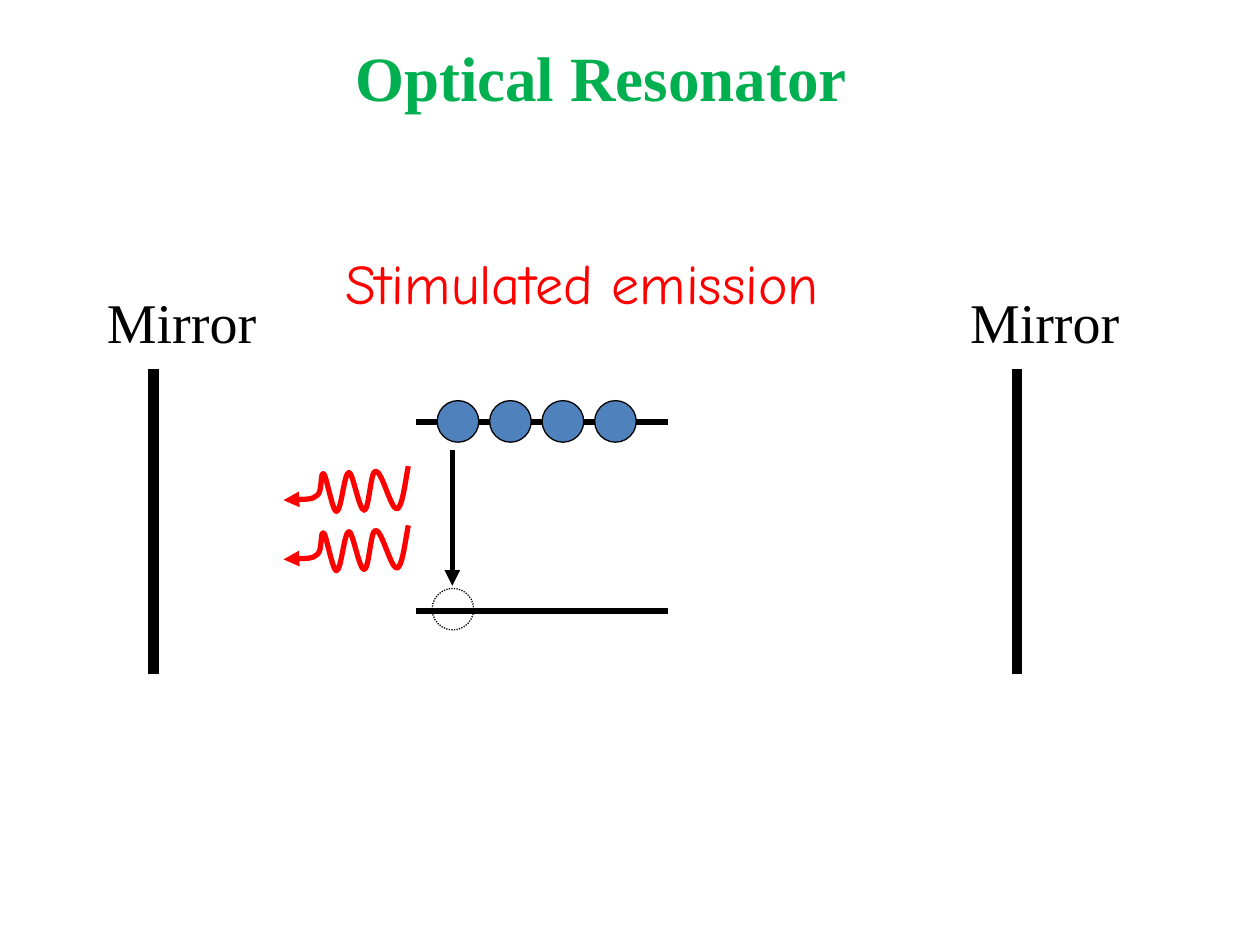
from lxml.etree import SubElement
from pptx import Presentation
from pptx.dml.color import RGBColor
from pptx.enum.dml import MSO_LINE as Dash
from pptx.enum.shapes import MSO_CONNECTOR as Conn, MSO_SHAPE as Shape
from pptx.oxml.ns import qn
from pptx.util import Inches, Pt

BLACK = RGBColor(0x00, 0x00, 0x00)
RED = RGBColor(0xFF, 0x00, 0x00)
GREEN = RGBColor(0x00, 0xB0, 0x50)
BLUE = RGBColor(0x4F, 0x81, 0xBD)
SERIF, COMIC = "Times New Roman", "Comic Neue"

# Photon wave: start point, then three Bezier points per curve
WAVE = [
    (0.99, 0),
    (0.96, 0.17), (0.94, 0.33), (0.90, 0.34),
    (0.85, 0.34), (0.78, 0.03), (0.73, 0.04),
    (0.69, 0.04), (0.68, 0.35), (0.64, 0.35),
    (0.60, 0.35), (0.55, 0.05), (0.52, 0.05),
    (0.48, 0.05), (0.46, 0.36), (0.42, 0.36),
    (0.39, 0.36), (0.34, 0.08), (0.32, 0.06),
    (0.29, 0.04), (0.31, 0.20), (0.27, 0.23),
    (0.23, 0.27), (0.10, 0.26), (0.05, 0.27),
    (0.01, 0.27), (0, 0.27), (0, 0.27),
]


def add_tip(shape):
    line = shape._element.spPr.find(qn("a:ln"))
    SubElement(line, qn("a:tailEnd"), type="triangle")


def add_line(slide, x1, y1, x2, y2, width):
    line = slide.shapes.add_connector(
        Conn.STRAIGHT, Inches(x1), Inches(y1), Inches(x2), Inches(y2))
    line.line.color.rgb = BLACK
    line.line.width = Pt(width)
    SubElement(line._element.spPr, qn("a:effectLst"))
    return line


def add_text(slide, box, text, size, font, color, bold=False, wrap=False):
    frame = slide.shapes.add_textbox(*map(Inches, box)).text_frame
    frame.word_wrap = wrap
    para = frame.paragraphs[0]
    para.text = text
    para.font.size = Pt(size)
    para.font.name = font
    para.font.bold = bold
    para.font.color.rgb = color


def add_ball(slide, x, y, full=True):
    size = Inches(0.33)
    ball = slide.shapes.add_shape(Shape.OVAL, Inches(x), Inches(y), size, size)
    ball.shadow.inherit = False
    ball.line.color.rgb = BLACK
    ball.line.width = Pt(0.75)
    if full:
        ball.fill.solid()
        ball.fill.fore_color.rgb = BLUE
    else:
        ball.fill.background()
        ball.line.dash_style = Dash.ROUND_DOT


def add_mirror(slide, x, y):
    """Label at x, y with the mirror below it."""
    add_text(slide, (x, y, 1.39, 0.63), "Mirror", 32, SERIF, BLACK)
    add_line(slide, x + 0.47, y + 0.7, x + 0.47, y + 3.12, 6)


def add_levels(slide, x, y, width, gap):
    """Two energy levels, the electrons and the drop between them."""
    for level in (y, y + gap):
        add_line(slide, x, level, x + width, level, 3)
    for i in range(4):
        add_ball(slide, x + 0.17 + i * 1.25 / 3, y - 0.17)
    add_ball(slide, x + 0.13, y + gap - 0.18, full=False)
    add_tip(add_line(slide, x + 0.29, y + 0.22, x + 0.29, y + gap - 0.2, 3))


def add_photon(slide, x, y):
    points = [(Inches(x + dx), Inches(y + dy)) for dx, dy in WAVE]
    path = slide.shapes.build_freeform(*points[0])
    path.add_line_segments(points[1:], close=False)
    wave = path.convert_to_shape()
    # Turn each three line segments into one curve
    steps = list(wave._element.iter(qn("a:lnTo")))
    for i in range(0, len(steps), 3):
        curve = SubElement(steps[i].getparent(), qn("a:cubicBezTo"))
        for step in steps[i:i + 3]:
            curve.append(step[0])
            step.getparent().remove(step)
    wave.shadow.inherit = False
    wave.fill.background()
    wave.line.color.rgb = RED
    wave.line.width = Pt(3)
    add_tip(wave)


def main():
    deck = Presentation()
    deck.slide_width, deck.slide_height = Inches(10), Inches(7.5)
    slide = deck.slides.add_slide(deck.slide_layouts[6])

    # Resonator
    for x in (0.75, 7.6 - 0.18 + 0.18):
        add_mirror(slide, x, 2.23)
    add_levels(slide, 3.3, 3.35, 2, 1.5)
    for y in (3.7, 4.17):
        add_photon(slide, 2.25, y)

    # Headings
    add_text(slide, (2.64, 1.92, 4.35, 0.63), "Stimulated emission",
             32, COMIC, RED)
    add_text(slide, (2.72, 0.26, 5.49, 0.71), "Optical Resonator",
             36, SERIF, GREEN, bold=True, wrap=True)
    deck.save("out.pptx")


if __name__ == "__main__":
    main()
